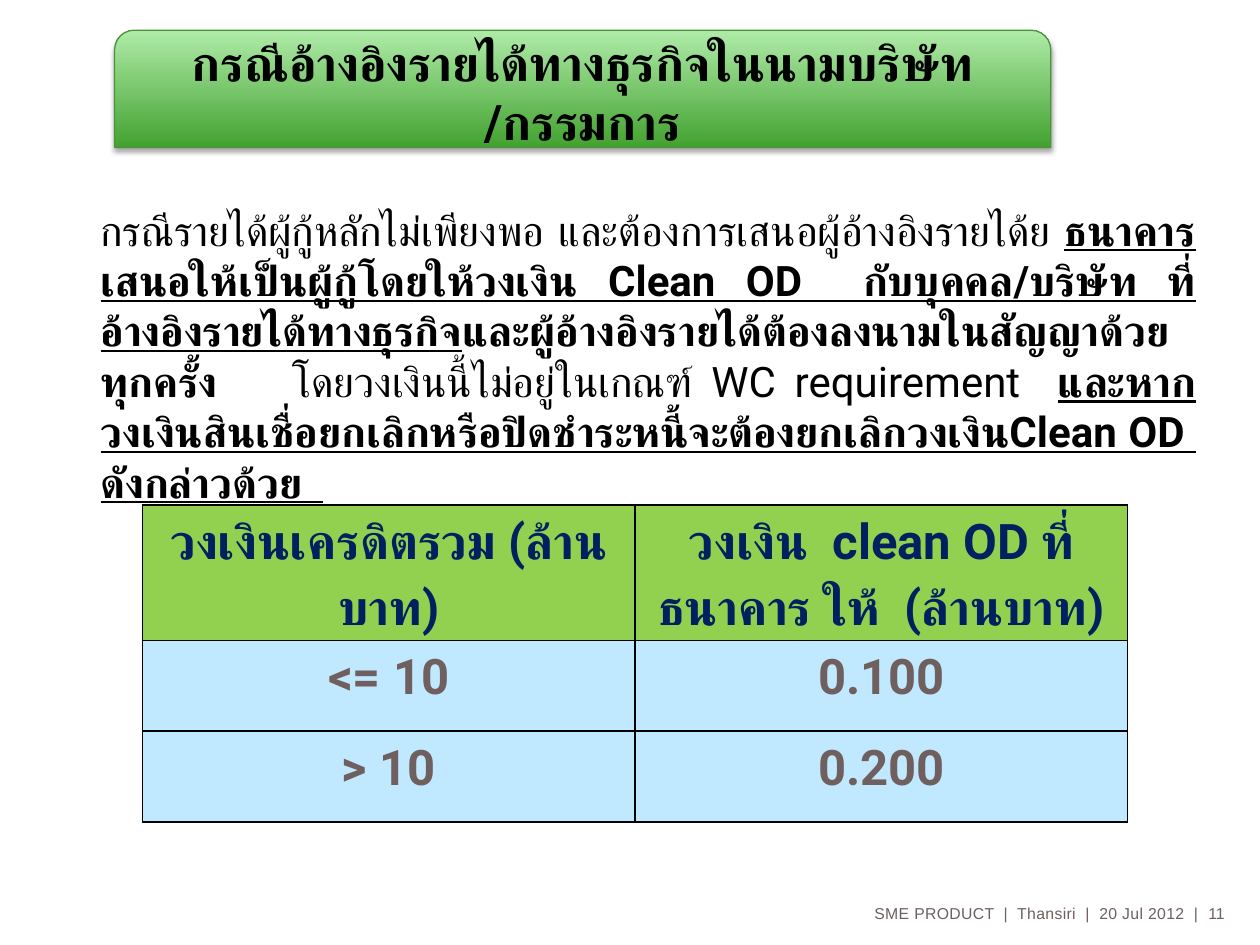
from lxml import etree
from pptx import Presentation
from pptx.dml.color import RGBColor
from pptx.enum.shapes import MSO_SHAPE
from pptx.enum.text import MSO_ANCHOR, MSO_AUTO_SIZE, PP_ALIGN
from pptx.oxml import parse_xml
from pptx.oxml.ns import qn
from pptx.util import Inches, Pt

LEFT, CENTER, RIGHT, JUSTIFY = PP_ALIGN.LEFT, PP_ALIGN.CENTER, PP_ALIGN.RIGHT, PP_ALIGN.JUSTIFY
TOP, MIDDLE = MSO_ANCHOR.TOP, MSO_ANCHOR.MIDDLE
GROW = MSO_AUTO_SIZE.SHAPE_TO_FIT_TEXT
ROUND_TOP = MSO_SHAPE.ROUND_2_SAME_RECTANGLE
DRAWING = "http://schemas.openxmlformats.org/drawingml/2006/main"
COLORS = {
    "black": "000000", "navy": "002060", "brown": "6F5F5E",
    "header": "92D050", "body": "C0E8FF",
    "dark_green": "43A230", "light_green": "AFEBA8", "outline": "49943A",
}


def color(name):
    """Return the named colour."""
    return RGBColor.from_string(COLORS[name])


def write(frame, spans, size=28, font="Roboto", ink="black", bold=False,
          align=CENTER, spacing=None, track=None):
    """Write one paragraph of text, or of (text, bold, underline) spans."""
    if isinstance(spans, str):
        spans = [(spans, bold, False)]
    frame.word_wrap = True
    para = frame.paragraphs[0]
    para.alignment = align
    para.line_spacing = spacing
    for text, is_bold, underlined in spans:
        span = para.add_run()
        span.text = text
        span.font.size = Pt(size)
        span.font.bold = is_bold
        span.font.underline = underlined
        span.font.color.rgb = color(ink)
        span.font.name = font
        properties = span.font._element
        etree.SubElement(properties, qn("a:cs"), typeface=font)
        if track:
            properties.set("spc", str(track))


deck = Presentation()
deck.slide_width, deck.slide_height = Inches(10), Inches(7.5)
page = deck.slides.add_slide(deck.slide_layouts[6])

# Explanation
explanation = page.shapes.add_textbox(Inches(0.7), Inches(1.57), Inches(8.89), Inches(2.12))
write(explanation.text_frame, [
    ("กรณีรายได้ผู้กู้หลักไม่เพียงพอ และต้องการเสนอผู้อ้างอิงรายได้ย ", False, False),
    ("ธนาคารเสนอให้เป็นผู้กู้โดยให้วงเงิน Clean OD  กับบุคคล/บริษัท ที่อ้างอิงรายได้ทางธุรกิจ", True, True),
    ("และผู้อ้างอิงรายได้ต้องลงนามในสัญญาด้วยทุกครั้ง", True, False),
    ("    โดยวงเงินนี้ไม่อยู่ในเกณฑ์ WC requirement  ", False, False),
    ("และหากวงเงินสินเชื่อยกเลิกหรือปิดชำระหนี้จะต้องยกเลิกวงเงินClean OD  ดังกล่าวด้วย  ", True, True),
], size=24, align=JUSTIFY)
explanation.text_frame.auto_size = GROW

# Credit line table
credit_rows = [
    ("วงเงินเครดิตรวม (ล้านบาท)", "วงเงิน  clean OD ที่ธนาคาร ให้  (ล้านบาท)"),
    ("<= 10", "0.100"),
    ("> 10", "0.200"),
]
row_heights = [1.07, 0.72, 0.72]
table = page.shapes.add_table(3, 2, Inches(1.13), Inches(4.01), Inches(7.82),
                              Inches(sum(row_heights))).table
for row_index, (texts, height) in enumerate(zip(credit_rows, row_heights)):
    table.rows[row_index].height = Inches(height)
    for column_index, text in enumerate(texts):
        cell = table.cell(row_index, column_index)
        cell.margin_left = cell.margin_right = Inches(0.07)
        cell.margin_top = cell.margin_bottom = 0
        cell.vertical_anchor = TOP
        cell.fill.solid()
        cell.fill.fore_color.rgb = color("body" if row_index else "header")
        write(cell.text_frame, text, bold=True, spacing=1.15,
              ink="brown" if row_index else "navy")
        for position, side in enumerate("LRTB"):
            border = parse_xml(
                f'<a:ln{side} xmlns:a="{DRAWING}" w="12700"><a:solidFill>'
                f'<a:srgbClr val="{COLORS["black"]}"/></a:solidFill></a:ln{side}>')
            cell._tc.get_or_add_tcPr().insert(position, border)

# Title banner
banner = page.shapes.add_shape(ROUND_TOP, Inches(0.91), Inches(0.24), Inches(7.43), Inches(0.93))
banner.fill.gradient()
banner.fill.gradient_angle = 90
for stop, name in zip(banner.fill.gradient_stops, ("dark_green", "light_green")):
    stop.color.rgb = color(name)
banner.line.color.rgb = color("outline")
banner.line.width = Pt(0.75)
banner.shadow.inherit = False
banner._element.spPr.find(qn("a:effectLst")).append(parse_xml(
    f'<a:outerShdw xmlns:a="{DRAWING}" blurRad="{Pt(3.1)}" dist="{Pt(1.8)}" dir="5400000" '
    f'rotWithShape="0"><a:srgbClr val="{COLORS["black"]}"><a:alpha val="35000"/>'
    '</a:srgbClr></a:outerShdw>'))
banner.text_frame.vertical_anchor = MIDDLE
write(banner.text_frame, "กรณีอ้างอิงรายได้ทางธุรกิจในนามบริษัท /กรรมการ", bold=True)

# Footer
for text, left, width, align, track in [
    ("11", 9.59, 0.36, LEFT, None),
    ("SME PRODUCT  |  Thansiri  |  20 Jul 2012  |", 4.51, 5, RIGHT, 20),
]:
    box = page.shapes.add_textbox(Inches(left), Inches(7.1), Inches(width), Inches(0.29))
    frame = box.text_frame
    frame.margin_left = frame.margin_right = frame.margin_top = frame.margin_bottom = 0
    frame.vertical_anchor = MIDDLE
    write(frame, text, size=9, font="Arial", ink="brown", align=align, track=track)

deck.save("out.pptx")
